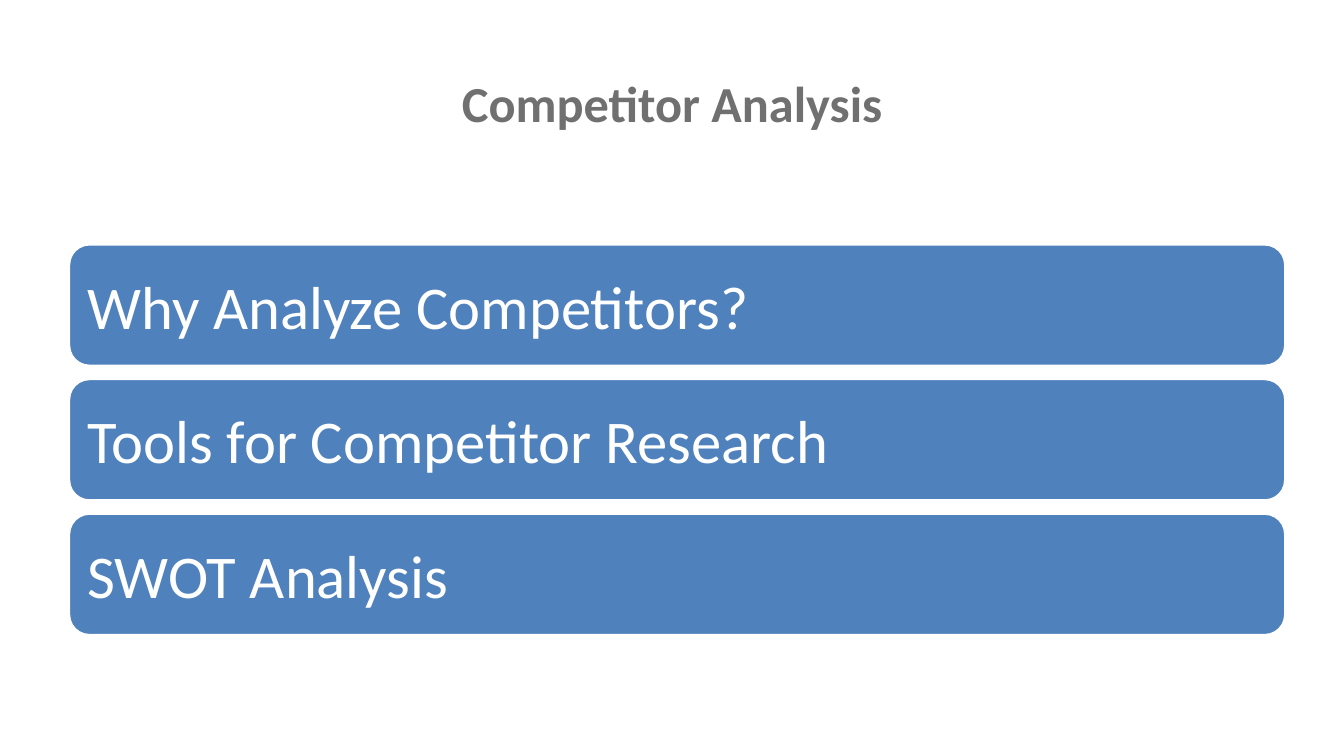
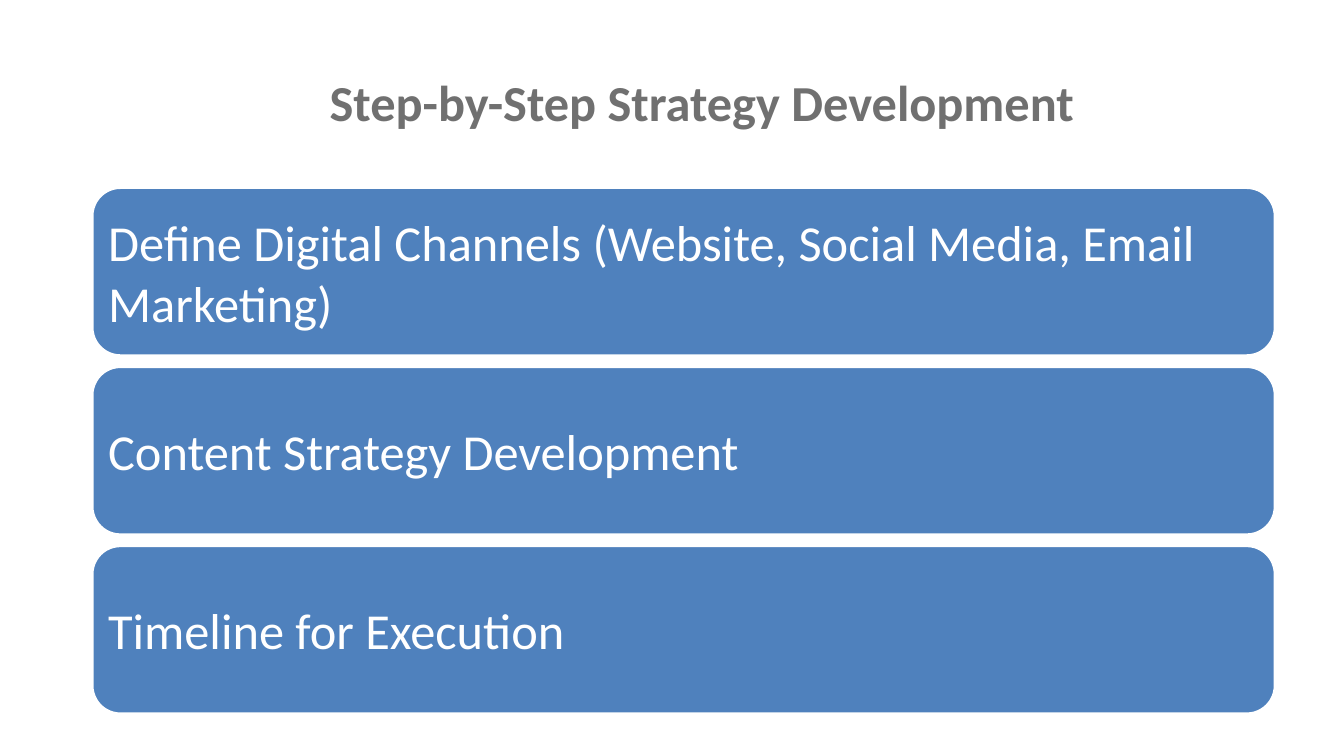
"""Build two slides, each with a title over a stack of rounded topic bars."""
from pptx import Presentation
from pptx.dml.color import RGBColor
from pptx.enum.shapes import MSO_SHAPE
from pptx.enum.text import MSO_ANCHOR, MSO_AUTO_SIZE, PP_ALIGN
from pptx.util import Cm, Pt

ROUNDED = MSO_SHAPE.ROUNDED_RECTANGLE
MIDDLE = MSO_ANCHOR.MIDDLE
NO_FIT = MSO_AUTO_SIZE.NONE
LEFT, CENTER = PP_ALIGN.LEFT, PP_ALIGN.CENTER

FONT = "Calibri"
GRAY, BLUE, WHITE = "707070", "4F81BD", "FFFFFF"
TITLE_SIZE = 54
TITLE_ONLY = 5


def set_color(color_format, value):
    color_format.rgb = RGBColor.from_string(value)


def write(sp, text, size, color, align, bold=False):
    tf = sp.text_frame
    tf.text = text
    tf.word_wrap = True
    tf.auto_size = NO_FIT
    tf.vertical_anchor = MIDDLE
    p = tf.paragraphs[0]
    p.alignment = align
    font = p.runs[0].font
    font.name, font.size, font.bold = FONT, Pt(size), bold
    set_color(font.color, color)


def add_titled_slide(prs, title, left, top, width, height):
    slide = prs.slides.add_slide(prs.slide_layouts[TITLE_ONLY])
    sp = slide.shapes.title
    sp.left, sp.top, sp.width, sp.height = Cm(left), Cm(top), Cm(width), Cm(height)
    write(sp, title, TITLE_SIZE, GRAY, CENTER, bold=True)
    return slide


def add_bar(slide, text, left, top, width, height, size, inset):
    sp = slide.shapes.add_shape(ROUNDED, Cm(left), Cm(top), Cm(width), Cm(height))
    sp.shadow.inherit = False
    sp.fill.solid()
    set_color(sp.fill.fore_color, BLUE)
    set_color(sp.line.color, WHITE)
    sp.line.width = Pt(2)
    tf = sp.text_frame
    tf.margin_left = tf.margin_right = tf.margin_top = tf.margin_bottom = Cm(inset)
    write(sp, text, size, WHITE, LEFT)


def add_bars(slide, topics, left, top, width, height, gap, size, inset):
    for i, topic in enumerate(topics):
        bar_top = top + i * (height + gap)
        add_bar(slide, topic, left, bar_top, width, height, size, inset)


def main():
    prs = Presentation()
    prs.slide_width, prs.slide_height = Cm(50.8), Cm(28.58)

    slide = add_titled_slide(prs, "Competitor Analysis", 3.5, 1.52, 43.82, 4.67)
    topics = ["Why Analyze Competitors?", "Tools for Competitor Research", "SWOT Analysis"]
    add_bars(slide, topics, left=2.62, top=9.25, width=45.95, height=4.57,
             gap=0.52, size=65, inset=0.46)

    slide = add_titled_slide(prs, "Step-by-Step Strategy Development",
                             9.53, 2.24, 34.01, 3.18)
    steps = ["Define Digital Channels (Website, Social Media, Email Marketing)",
             "Content Strategy Development", "Timeline for Execution"]
    add_bars(slide, steps, left=3.5, top=7.11, width=44.68, height=6.32,
             gap=0.45, size=54, inset=0.28)

    prs.save("out.pptx")


if __name__ == "__main__":
    main()
